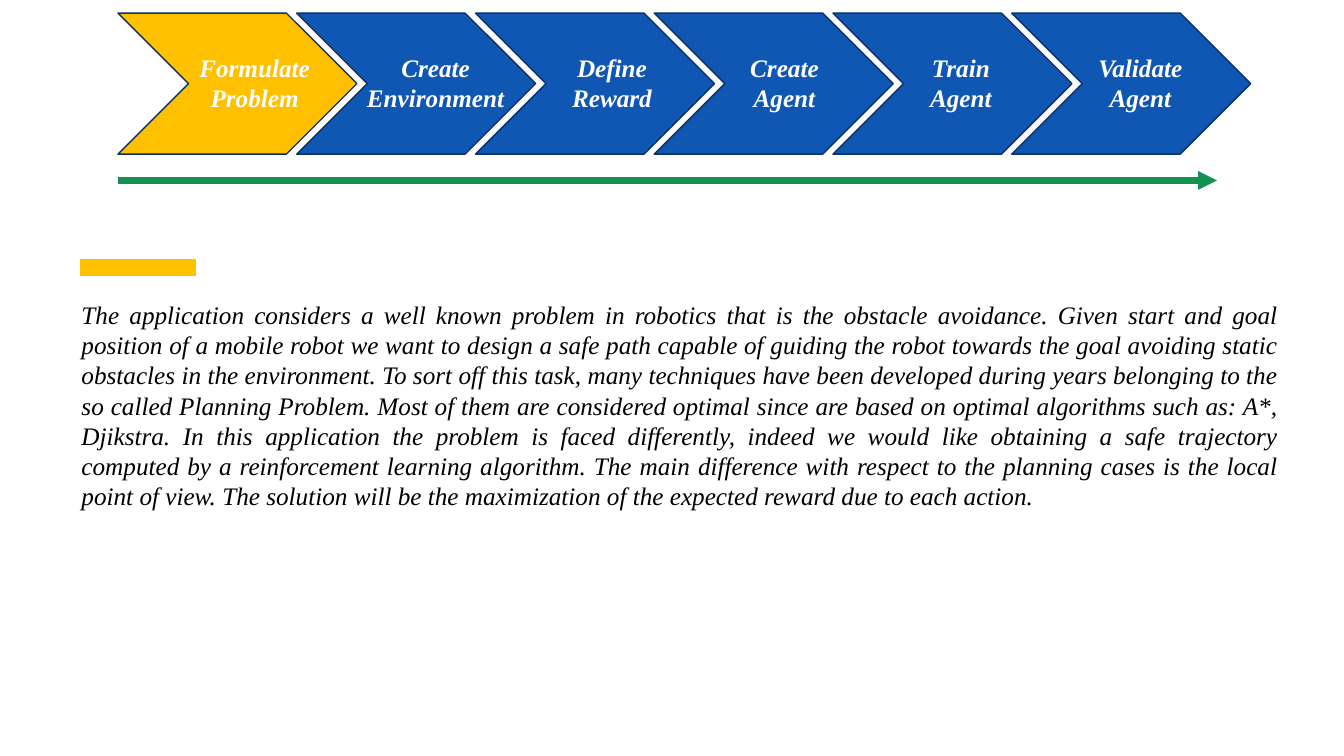
from lxml.etree import SubElement
from pptx import Presentation
from pptx.dml.color import RGBColor
from pptx.enum.shapes import MSO_CONNECTOR as Connector, MSO_SHAPE as Shape
from pptx.enum.text import MSO_AUTO_SIZE as AutoSize, PP_ALIGN as Align
from pptx.oxml.ns import qn
from pptx.util import Inches, Pt

BLUE = RGBColor(0x10, 0x56, 0xB3)
NAVY = RGBColor(0x0B, 0x32, 0x67)
GOLD = RGBColor(0xFF, 0xC0, 0x00)
GREEN = RGBColor(0x13, 0x91, 0x52)
WHITE = RGBColor(0xFF, 0xFF, 0xFF)
BLACK = RGBColor(0x00, 0x00, 0x00)

# Step name, left and width of its label
STEPS = [
    ("Formulate\nProblem", 1.83, 1.39),
    ("Create\nEnvironment", 3.46, 1.72),
    ("Define\nReward", 5.21, 1.72),
    ("Create\nAgent", 6.92, 1.72),
    ("Train\nAgent", 8.67, 1.72),
    ("Validate\nAgent", 10.45, 1.72),
]
FLOW_LEFT, STEP_PITCH = 1.17, 1.773

DESCRIPTION = (
    "The application considers a well known problem in robotics that is the "
    "obstacle avoidance. Given start and goal position of a mobile robot we want "
    "to design a safe path capable of guiding the robot towards the goal avoiding "
    "static obstacles in the environment. To sort off this task, many techniques "
    "have been developed during years belonging to the so called Planning Problem. "
    "Most of them are considered optimal since are based on optimal algorithms "
    "such as: A*, Djikstra. In this application the problem is faced differently, "
    "indeed we would like obtaining a safe trajectory computed by a reinforcement "
    "learning algorithm. The main difference with respect to the planning cases is "
    "the local point of view. The solution will be the maximization of the "
    "expected reward due to each action."
)


def write_text(frame, text, color, align, size=18, font="Times New Roman",
               bold=False, italic=True):
    """Fill a text frame, one paragraph for each line of text."""
    for index, line in enumerate(text.split("\n")):
        para = frame.add_paragraph() if index else frame.paragraphs[0]
        para.alignment = align
        span = para.add_run()
        span.text = line
        span.font.name = font
        span.font.size = Pt(size)
        span.font.bold = bold
        span.font.italic = italic
        span.font.color.rgb = color


class Painter:
    """Holds the current slide and the shared line style."""

    line_width = Pt(1)

    def __init__(self, page):
        self.shapes = page.shapes

    def shape(self, kind, left, top, width, height, fill, line):
        shape = self.shapes.add_shape(
            kind, Inches(left), Inches(top), Inches(width), Inches(height))
        shape.shadow.inherit = False
        shape.fill.solid()
        shape.fill.fore_color.rgb = fill
        shape.line.color.rgb = line
        shape.line.width = self.line_width

    def text(self, left, top, width, height, text, **style):
        box = self.shapes.add_textbox(
            Inches(left), Inches(top), Inches(width), Inches(height))
        box.text_frame.word_wrap = True
        box.text_frame.auto_size = AutoSize.SHAPE_TO_FIT_TEXT
        write_text(box.text_frame, text, **style)

    def arrow(self, left, right, y, color, width):
        arrow = self.shapes.add_connector(
            Connector.STRAIGHT, Inches(left), Inches(y), Inches(right), Inches(y))
        arrow.line.color.rgb = color
        arrow.line.width = Pt(width)
        SubElement(arrow.line._get_or_add_ln(), qn("a:tailEnd"), type="triangle")
        SubElement(arrow._element.spPr, qn("a:effectLst"))


def main():
    deck = Presentation()
    deck.slide_width, deck.slide_height = Inches(13.33), Inches(7.5)
    painter = Painter(deck.slides.add_slide(deck.slide_layouts[6]))

    # Problem description
    painter.text(0.71, 2.92, 12.07, 2.22, DESCRIPTION,
                 color=BLACK, align=Align.JUSTIFY)

    # Workflow chevrons, the current step in gold
    for index in range(len(STEPS)):
        painter.shape(Shape.CHEVRON, FLOW_LEFT + index * STEP_PITCH, 0.13, 2.37, 1.4,
                      fill=BLUE if index else GOLD, line=NAVY)

    # Direction of the workflow
    painter.arrow(FLOW_LEFT, 12.07, 1.79, GREEN, 4.5)

    # Step labels
    for name, left, width in STEPS:
        painter.text(left, 0.47, width, 0.71, name,
                     color=WHITE, align=Align.CENTER, bold=True)

    # Accent bar above the description
    painter.shape(Shape.RECTANGLE, 0.8, 2.58, 1.14, 0.15, fill=GOLD, line=GOLD)

    deck.save("out.pptx")


if __name__ == "__main__":
    main()
